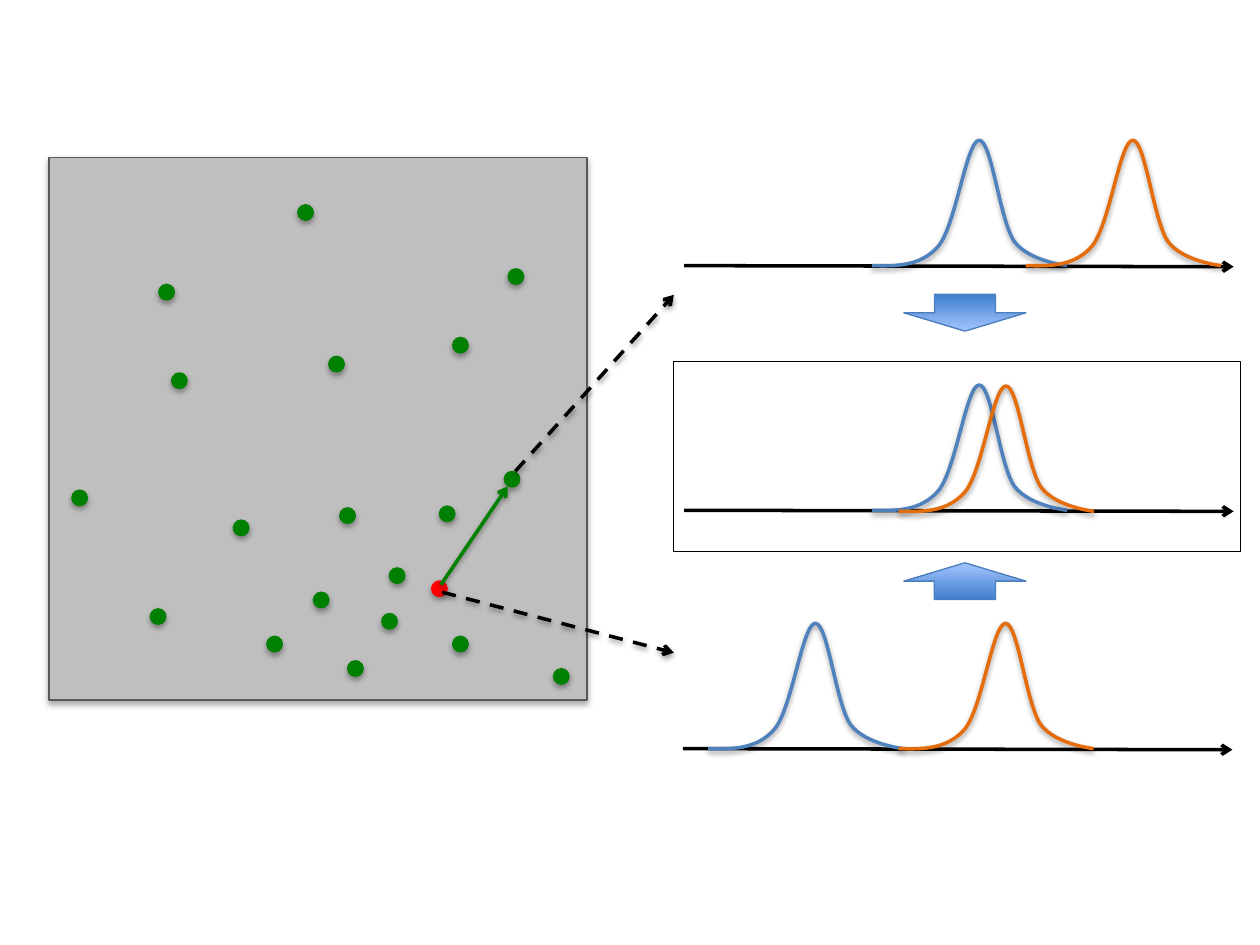
from dataclasses import dataclass

from lxml import etree
from pptx import Presentation
from pptx.dml.color import RGBColor
from pptx.enum.dml import MSO_LINE
from pptx.enum.shapes import MSO_CONNECTOR, MSO_SHAPE
from pptx.oxml.ns import qn
from pptx.util import Pt

RECT, OVAL, UP_ARROW = MSO_SHAPE.RECTANGLE, MSO_SHAPE.OVAL, MSO_SHAPE.UP_ARROW
STRAIGHT, DASH = MSO_CONNECTOR.STRAIGHT, MSO_LINE.DASH


@dataclass(frozen=True)
class Theme:
    """Colours, line widths and shadows (opacity %, distance) of the slide."""
    black: str = "000000"
    blue: str = "4F81BD"
    orange: str = "E46C0A"
    green: str = "008000"
    red: str = "FF0000"
    panel: str = "BFBFBF"
    panel_edge: str = "595959"
    arrow_edge: str = "4B7EBC"
    arrow_stops: tuple = ("3F80CE", "A4C4FF")
    thick: float = 2
    thin: float = 0.75
    line_shadow: tuple = (38, 1.57)
    fill_shadow: tuple = (35, 1.81)
    shadow_blur: float = 3.15


THEME = Theme()

# Bezier points of one peak, relative to its left foot on the axis
PEAK = [(0, 0), (13.8, 0.3), (27.7, 0.6), (37.9, -11.1),
        (48, -23.1), (54, -71.4), (61.2, -71.6),
        (68.4, -72), (73, -25.6), (81.4, -13.7),
        (90, -2.3), (111.6, 0), (111.6, 0)]

# Axis left, axis top, blue offset, orange offset, orange drop
PLOTS = [(390.24, 427.8, 14.4, 123.1, 0),
         (390.96, 151.8, 107.3, 195.1, 0),
         (390.96, 291.6, 107.3, 122.6, 0.6)]
AXIS_LENGTH, AXIS_DROP = 314, 0.6

PANEL = (28.08, 89.8, 307.44, 310.32)
DOT_SIZE = 8.9
RED_DOT = (218.6, 242.2)
GREEN_DOTS = [(57.8, 258.1), (105.3, 207.4), (223, 199.4), (230.6, 103),
              (62.7, 72.7), (288.2, 292.3), (13, 190.3), (159.8, 113.8),
              (151, 248.6), (260.1, 179.6), (190.1, 260.8), (142.1, 27.2),
              (230.6, 273.8), (262.3, 63.8), (166.1, 200.4), (124.4, 273.8),
              (170.6, 287.8), (70, 123.3), (194.4, 234.7)]

FRAME = (384.9, 206.4, 324, 108.7)
MERGE_ARROWS = [((516.5, 321.6, 69.8, 21), 0), ((516.5, 168.2, 69.8, 21), 180)]


def rgb(code):
    """Turn a hex code into a colour."""
    return RGBColor.from_string(code)


def set_shadow(shape, shadow=None):
    """Give a shape a downward shadow, or none at all."""
    effects = etree.SubElement(shape._element.spPr, qn("a:effectLst"))
    if shadow:
        opacity, distance = shadow
        outer = etree.SubElement(
            effects, qn("a:outerShdw"), blurRad=str(Pt(THEME.shadow_blur)),
            dist=str(Pt(distance)), dir="5400000", rotWithShape="0")
        color = etree.SubElement(outer, qn("a:srgbClr"), val=THEME.black)
        etree.SubElement(color, qn("a:alpha"), val=str(opacity * 1000))


def set_line(shape, color, width):
    """Set the outline colour and width."""
    shape.line.color.rgb = rgb(color)
    shape.line.width = Pt(width)


def add_block(shapes, kind, box, edge, fill=None, shadow=None):
    """Add a preset shape in a box, filled or open."""
    block = shapes.add_shape(kind, *map(Pt, box))
    if fill:
        block.fill.solid()
        block.fill.fore_color.rgb = rgb(fill)
    else:
        block.fill.background()
    set_line(block, edge, THEME.thin)
    set_shadow(block, shadow)
    return block


def add_pointer(shapes, start, end, color, dash=None, shadow=None):
    """Add a straight line with an open arrowhead at its end."""
    pointer = shapes.add_connector(STRAIGHT, *map(Pt, (*start, *end)))
    set_line(pointer, color, THEME.thick)
    if dash:
        pointer.line.dash_style = dash
    etree.SubElement(pointer.line._get_or_add_ln(), qn("a:tailEnd"), type="arrow")
    set_shadow(pointer, shadow)


def bend_segments(freeform):
    """Turn each three straight segments into one cubic Bezier curve."""
    segments = list(freeform._element.iter(qn("a:lnTo")))
    for first in range(0, len(segments), 3):
        curve = etree.SubElement(segments[first].getparent(), qn("a:cubicBezTo"))
        for segment in segments[first:first + 3]:
            curve.append(segment[0])
            segment.getparent().remove(segment)


def add_peak(shapes, left, base, color):
    """Draw one peak as an open curve."""
    start, *rest = [(Pt(left + x), Pt(base + y)) for x, y in PEAK]
    builder = shapes.build_freeform(*start)
    builder.add_line_segments(rest, close=False)
    peak = builder.convert_to_shape()
    bend_segments(peak)
    peak.fill.background()
    set_line(peak, color, THEME.thick)
    set_shadow(peak, THEME.line_shadow)


def add_plot(slide, left, base, blue_offset, orange_offset, orange_drop):
    """Draw an axis with a blue and an orange peak."""
    shapes = slide.shapes.add_group_shape().shapes
    add_pointer(shapes, (left, base), (left + AXIS_LENGTH, base + AXIS_DROP), THEME.black)
    add_peak(shapes, left + blue_offset, base, THEME.blue)
    add_peak(shapes, left + orange_offset, base + orange_drop, THEME.orange)


def add_dot_panel(slide, box):
    """Draw the grey panel with one red dot among green ones."""
    shapes = slide.shapes.add_group_shape().shapes
    add_block(shapes, RECT, box, THEME.panel_edge, THEME.panel, THEME.fill_shadow)
    dots = [(RED_DOT, THEME.red)] + [(spot, THEME.green) for spot in GREEN_DOTS]
    for (x, y), color in dots:
        dot_box = (box[0] + x, box[1] + y, DOT_SIZE, DOT_SIZE)
        add_block(shapes, OVAL, dot_box, color, color, THEME.fill_shadow)


def add_panel_link(slide, box, start, end, color, dash=None):
    """Draw a shadowed arrow, with its ends relative to the panel."""
    ends = [(box[0] + x, box[1] + y) for x, y in (start, end)]
    add_pointer(slide.shapes, *ends, color, dash, THEME.line_shadow)


def add_merge_arrow(slide, box, rotation):
    """Draw a gradient block arrow that points to the framed plot."""
    arrow = add_block(slide.shapes, UP_ARROW, box, THEME.arrow_edge)
    arrow.rotation = rotation
    arrow.fill.gradient()
    arrow.fill.gradient_angle = 90
    for position, (stop, color) in enumerate(zip(arrow.fill.gradient_stops, THEME.arrow_stops)):
        stop.color.rgb = rgb(color)
        stop.position = position


def main():
    """Build and save the slide."""
    deck = Presentation()
    deck.slide_width, deck.slide_height = Pt(720), Pt(540)
    slide = deck.slides.add_slide(deck.slide_layouts[6])
    for plot in PLOTS:
        add_plot(slide, *plot)
    add_dot_panel(slide, PANEL)
    add_panel_link(slide, PANEL, (224.6, 248.6), (357, 283.2), THEME.black, DASH)
    for box, rotation in MERGE_ARROWS:
        add_merge_arrow(slide, box, rotation)
    add_block(slide.shapes, RECT, FRAME, THEME.black)
    add_panel_link(slide, PANEL, (266.4, 179.5), (357, 78.7), THEME.black, DASH)
    add_panel_link(slide, PANEL, (223.9, 244.3), (262.1, 188.1), THEME.green)
    deck.save("out.pptx")


main()
